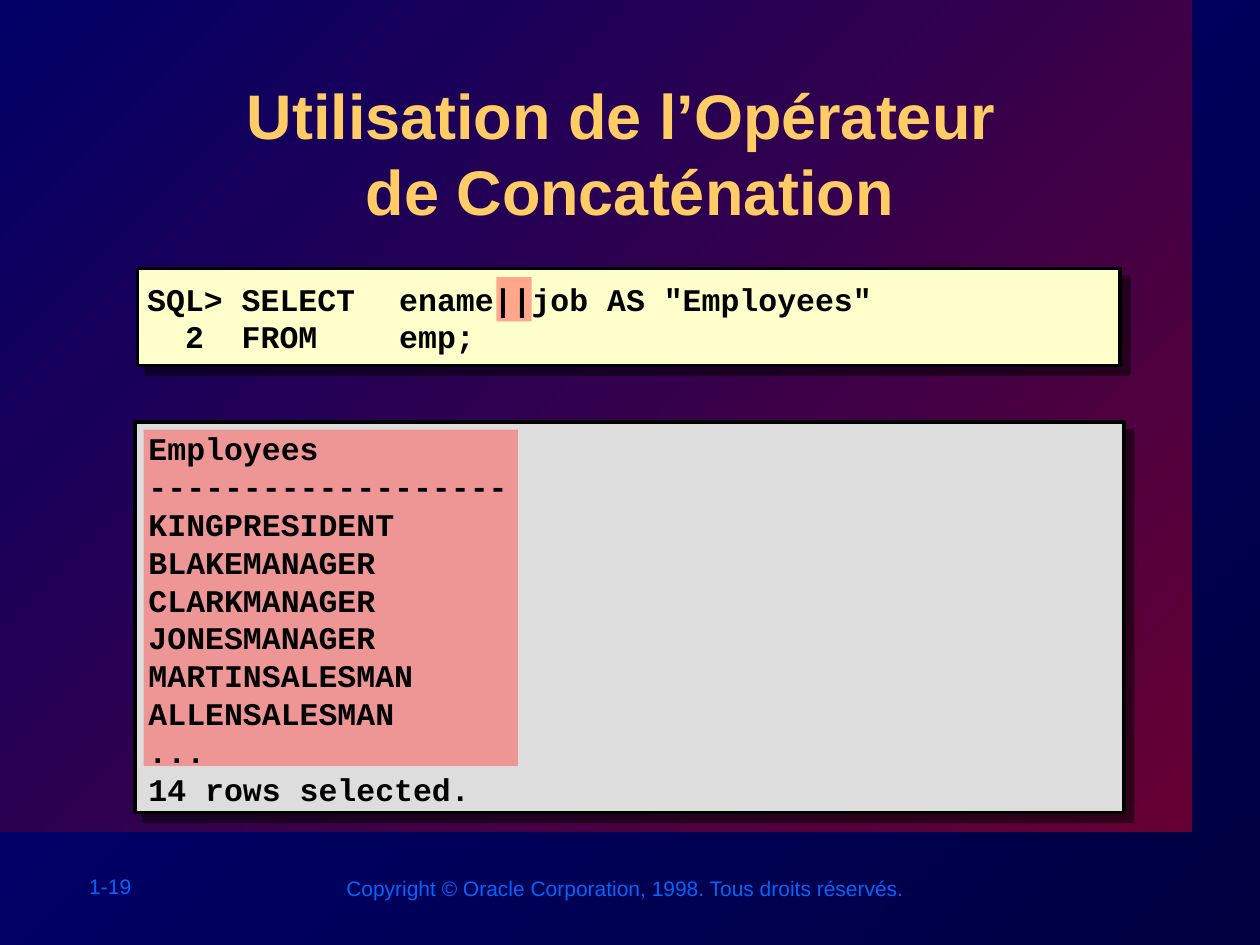
from dataclasses import dataclass

from lxml import etree
from pptx import Presentation, util as u
from pptx.dml.color import RGBColor
from pptx.enum import shapes, text
from pptx.oxml import ns

INK, GOLD, BLUE, HIGHLIGHT = "000000", "FFCC66", "0066FF", "FF5050"
CODE = {"name": "Courier New", "size": u.Pt(18), "bold": True}
FOOTER = {"name": "Arial", "size": u.Pt(12), "bold": False}
HEADING = {"name": "Arial", "size": u.Pt(36), "bold": True}
LINE_HEIGHT = 1.2

QUERY = ['SQL> SELECT\tename||job AS "Employees"', "  2  FROM \temp;"]
RESULT = ["Employees", "-------------------", "KINGPRESIDENT", "BLAKEMANAGER",
          "CLARKMANAGER", "JONESMANAGER", "MARTINSALESMAN", "ALLENSALESMAN",
          "...", "14 rows selected."]


@dataclass
class Area:
    left: float
    top: float
    width: float
    height: float

    def lengths(self) -> list:
        return [u.Inches(v) for v in (self.left, self.top, self.width, self.height)]


@dataclass
class Label:
    area: Area
    lines: list
    font: dict
    color: str
    wrap: bool = False
    anchor: text.MSO_ANCHOR = text.MSO_ANCHOR.TOP
    tab: float = 0


def rgb(value: str) -> RGBColor:
    return RGBColor.from_string(value)


def add_child(parent, tag: str, **attributes):
    return etree.SubElement(parent, ns.qn(tag), attributes)


def add_shadow(properties, distance: float) -> None:
    """Append a half-transparent black shadow falling to the lower right."""
    effects = add_child(properties, "a:effectLst")
    shadow = add_child(effects, "a:outerShdw", dist=str(u.Pt(distance)),
                       dir="2700000", algn="ctr", rotWithShape="0")
    color = add_child(shadow, "a:srgbClr", val=INK)
    add_child(color, "a:alpha", val="50000")


def set_gradient(fill, start: str, end: str) -> None:
    fill.gradient()
    fill.gradient_angle = 315
    for stop, color, position in zip(fill.gradient_stops, (start, end), (0, 1)):
        stop.color.rgb = rgb(color)
        stop.position = position


def add_rectangle(slide, area: Area):
    rectangle = slide.shapes.add_shape(shapes.MSO_SHAPE.RECTANGLE, *area.lengths())
    rectangle.shadow.inherit = False
    rectangle.line.fill.background()
    return rectangle


def add_panel(slide, area: Area, color: str) -> None:
    panel = add_rectangle(slide, area)
    panel.fill.solid()
    panel.fill.fore_color.rgb = rgb(color)
    panel.line.color.rgb = rgb(INK)
    panel.line.width = u.Pt(2)
    properties = panel.fill._xPr
    properties.remove(properties.find(ns.qn("a:effectLst")))
    add_shadow(properties, 7.1)


def add_highlight(slide, area: Area) -> None:
    highlight = add_rectangle(slide, area)
    highlight.fill.solid()
    highlight.fill.fore_color.rgb = rgb(HIGHLIGHT)
    color = highlight.fill._xPr.find(ns.qn("a:solidFill"))[0]
    add_child(color, "a:alpha", val="50000")


def set_font(font, values: dict, color: str) -> None:
    for name, value in values.items():
        setattr(font, name, value)
    font.color.rgb = rgb(color)


def add_label(slide, label: Label) -> None:
    frame = slide.shapes.add_textbox(*label.area.lengths()).text_frame
    frame.word_wrap = label.wrap
    frame.vertical_anchor = label.anchor
    frame.text = "\n".join(label.lines)
    for paragraph in frame.paragraphs:
        paragraph.line_spacing = u.Pt(label.font["size"].pt * LINE_HEIGHT)
        if label.tab:
            tabs = add_child(paragraph._p.get_or_add_pPr(), "a:tabLst")
            for position in (label.tab, *range(2, 8)):
                add_child(tabs, "a:tab", pos=str(u.Inches(position)), algn="l")
        for run in paragraph.runs:
            set_font(run.font, label.font, label.color)


def fill_title(slide, area: Area, words: str) -> None:
    title = slide.shapes.title
    title.left, title.top, title.width, title.height = area.lengths()
    frame = title.text_frame
    frame.auto_size = text.MSO_AUTO_SIZE.NONE
    frame.vertical_anchor = text.MSO_ANCHOR.TOP
    frame.text = words
    paragraph = frame.paragraphs[0]
    paragraph.alignment = text.PP_ALIGN.CENTER
    paragraph.line_spacing = u.Pt(HEADING["size"].pt * LINE_HEIGHT)
    for run in paragraph.runs:
        set_font(run.font, HEADING, GOLD)
        properties = run._r.get_or_add_rPr()
        add_shadow(properties, 3)
        fill = properties.find(ns.qn("a:solidFill"))
        fill.addnext(properties.find(ns.qn("a:effectLst")))


def main() -> None:
    deck = Presentation()
    deck.slide_width, deck.slide_height = u.Inches(10), u.Inches(7.5)
    slide = deck.slides.add_slide(deck.slide_layouts[5])

    set_gradient(slide.background.fill, "000080", "000040")
    backdrop = add_rectangle(slide, Area(0, 0, 9.46, 6.6))
    set_gradient(backdrop.fill, "000066", "660033")
    # The title placeholder comes first in the tree; lift it above the backdrop.
    backdrop._element.addnext(slide.shapes.title._element)
    fill_title(slide, Area(1.01, 0.56, 7.98, 0.96),
               "Utilisation de l’Opérateur \vde Concaténation")

    add_panel(slide, Area(1.09, 2.13, 7.8, 0.77), "FFFFCC")
    add_panel(slide, Area(1.07, 3.35, 7.85, 3.1), "DDDDDD")
    for area in (Area(3.94, 2.2, 0.28, 0.35), Area(1.14, 3.41, 2.97, 2.67)):
        add_highlight(slide, area)

    copyright_line = "Copyright © Oracle Corporation, 1998. Tous droits réservés."
    for label in (
        Label(Area(0.61, 6.88, 1.11, 0.3), ["1-19"], FOOTER, BLUE),
        Label(Area(2.65, 6.9, 4.66, 0.3), [copyright_line], FOOTER, BLUE),
        Label(Area(1.07, 2.12, 7.82, 0.8), QUERY, CODE, INK,
              anchor=text.MSO_ANCHOR.MIDDLE, tab=2),
        Label(Area(1.08, 3.36, 7.82, 3.1), RESULT, CODE, INK, wrap=True),
    ):
        add_label(slide, label)

    deck.save("out.pptx")


if __name__ == "__main__":
    main()
